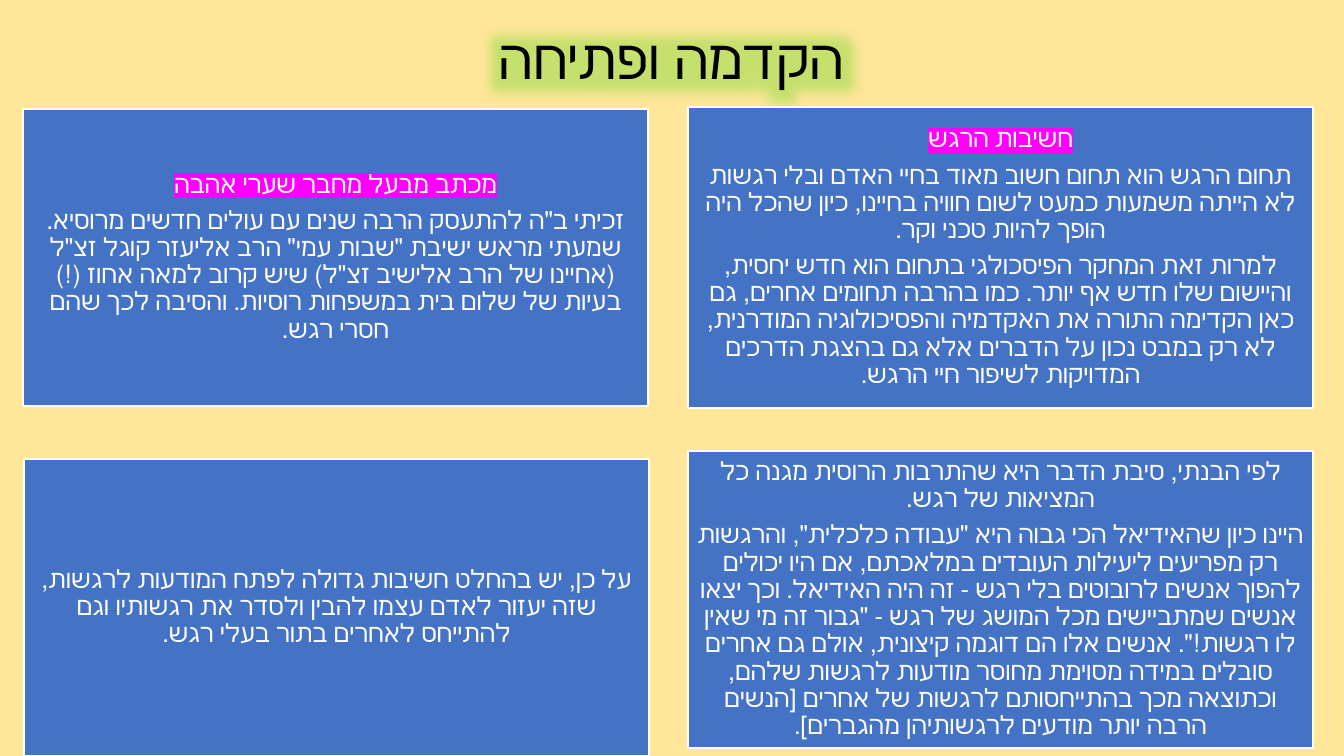
"""Build the Hebrew introduction slide: a glowing title above four text cards."""
from dataclasses import dataclass

from lxml import etree
from pptx import Presentation
from pptx.dml.color import RGBColor
from pptx.enum.lang import MSO_LANGUAGE_ID as Language
from pptx.enum.shapes import MSO_SHAPE as Shape
from pptx.enum.text import MSO_ANCHOR as Anchor, MSO_AUTO_SIZE as AutoSize, PP_ALIGN as Align
from pptx.oxml.ns import qn
from pptx.util import Emu, Pt

TITLE = "הקדמה ופתיחה"
TITLE_BOX = (92, 40, 1159, 44)
CARDS = [
    {"box": (23, 109, 625, 297),
     "heading": "מכתב מבעל מחבר שערי אהבה",
     "body": ['זכיתי ב"ה להתעסק הרבה שנים עם עולים חדשים מרוסיא. שמעתי מראש ישיבת '
              '"שבות עמי" הרב אליעזר קוגל זצ"ל (אחיינו של הרב אלישיב זצ"ל) שיש קרוב '
              'למאה אחוז (!) בעיות של שלום בית במשפחות רוסיות. והסיבה לכך שהם חסרי רגש.']},
    {"box": (688, 107, 625, 301),
     "heading": "חשיבות הרגש",
     "body": ["תחום הרגש הוא תחום חשוב מאוד בחיי האדם ובלי רגשות לא הייתה משמעות כמעט "
              "לשום חוויה בחיינו, כיון שהכל היה הופך להיות טכני וקר.",
              "למרות זאת המחקר הפיסכולגי בתחום הוא חדש יחסית, והיישום שלו חדש אף יותר. "
              "כמו בהרבה תחומים אחרים, גם כאן הקדימה התורה את האקדמיה והפסיכולוגיה "
              "המודרנית, לא רק במבט נכון על הדברים אלא גם בהצגת הדרכים המדויקות "
              "לשיפור חיי הרגש."]},
    {"box": (24, 459, 625, 297),
     "heading": None,
     "body": ["על כן, יש בהחלט חשיבות גדולה לפתח המודעות לרגשות, שזה יעזור לאדם עצמו "
              "להבין ולסדר את רגשותיו וגם להתייחס לאחרים בתור בעלי רגש."]},
    {"box": (688, 451, 625, 297),
     "heading": None,
     "body": ["לפי הבנתי, סיבת הדבר היא שהתרבות הרוסית מגנה כל המציאות של רגש.",
              'היינו כיון שהאידיאל הכי גבוה היא "עבודה כלכלית", והרגשות רק מפריעים '
              "ליעילות העובדים במלאכתם, אם היו יכולים להפוך אנשים לרובוטים בלי רגש - זה "
              "היה האידיאל. וכך יצאו אנשים שמתביישים מכל המושג של רגש - "
              '"גבור זה מי שאין לו רגשות!". אנשים אלו הם דוגמה קיצונית, אולם גם אחרים '
              "סובלים במידה מסוימת מחוסר מודעות לרגשות שלהם, וכתוצאה מכך בהתייחסותם "
              "לרגשות של אחרים [הנשים הרבה יותר מודעים לרגשותיהן מהגברים]."]},
]


@dataclass(frozen=True)
class Theme:
    font: str = "Calibri"
    background: str = "FFE699"
    card: str = "4472C4"
    light: str = "FFFFFF"
    dark: str = "000000"
    highlight: str = "FF00FF"
    glow: str = "6ED82A"
    title_size: float = 39.6
    body_size: float = 18
    paragraph_gap: float = 6.3


THEME = Theme()


def px(length):
    return Emu(round(length * 914400 / 100.8))


def rgb(color):
    return RGBColor.from_string(color)


def format_paragraph(paragraph, size, color):
    paragraph.alignment = Align.CENTER
    paragraph.line_spacing = 0.9
    paragraph._p.get_or_add_pPr().set("rtl", "1")
    font = paragraph.font
    font.size, font.name = Pt(size), THEME.font
    font.color.rgb = rgb(color)
    for run in paragraph.runs:
        run.font.language_id = Language.HEBREW


def add_color(parent, color):
    return etree.SubElement(parent, qn("a:srgbClr"), val=color)


def add_title(slide):
    title = slide.shapes.title
    title.left, title.top, title.width, title.height = map(px, TITLE_BOX)
    frame = title.text_frame
    frame.text = TITLE
    frame.auto_size = AutoSize.NONE
    frame.vertical_anchor = Anchor.MIDDLE
    paragraph = frame.paragraphs[0]
    format_paragraph(paragraph, THEME.title_size, THEME.dark)
    effects = etree.SubElement(paragraph.runs[0].font._rPr, qn("a:effectLst"))
    glow = etree.SubElement(effects, qn("a:glow"), rad=str(px(50)))
    etree.SubElement(add_color(glow, THEME.glow), qn("a:alpha"), val="40000")


def add_card(slide, box, heading, body):
    card = slide.shapes.add_shape(Shape.RECTANGLE, *map(px, box))
    card.shadow.inherit = False
    card.fill.solid()
    card.fill.fore_color.rgb = rgb(THEME.card)
    card.line.color.rgb = rgb(THEME.light)
    card.line.width = Pt(1)
    frame = card.text_frame
    frame.word_wrap = True
    frame.vertical_anchor = Anchor.MIDDLE
    frame.margin_left = frame.margin_right = px(7)
    frame.margin_top = frame.margin_bottom = px(7)
    texts = [heading, *body] if heading else body
    for index, text in enumerate(texts):
        paragraph = frame.add_paragraph() if index else frame.paragraphs[0]
        run = paragraph.add_run()
        run.text = text
        format_paragraph(paragraph, THEME.body_size, THEME.light)
        paragraph.space_after = Pt(THEME.paragraph_gap)
        if text == heading:
            add_color(etree.SubElement(run.font._rPr, qn("a:highlight")), THEME.highlight)


def main():
    presentation = Presentation()
    presentation.slide_width, presentation.slide_height = px(1344), px(756)
    slide = presentation.slides.add_slide(presentation.slide_layouts[5])
    slide.background.fill.solid()
    slide.background.fill.fore_color.rgb = rgb(THEME.background)
    add_title(slide)
    for card in CARDS:
        add_card(slide, **card)
    presentation.save("out.pptx")


if __name__ == "__main__":
    main()
